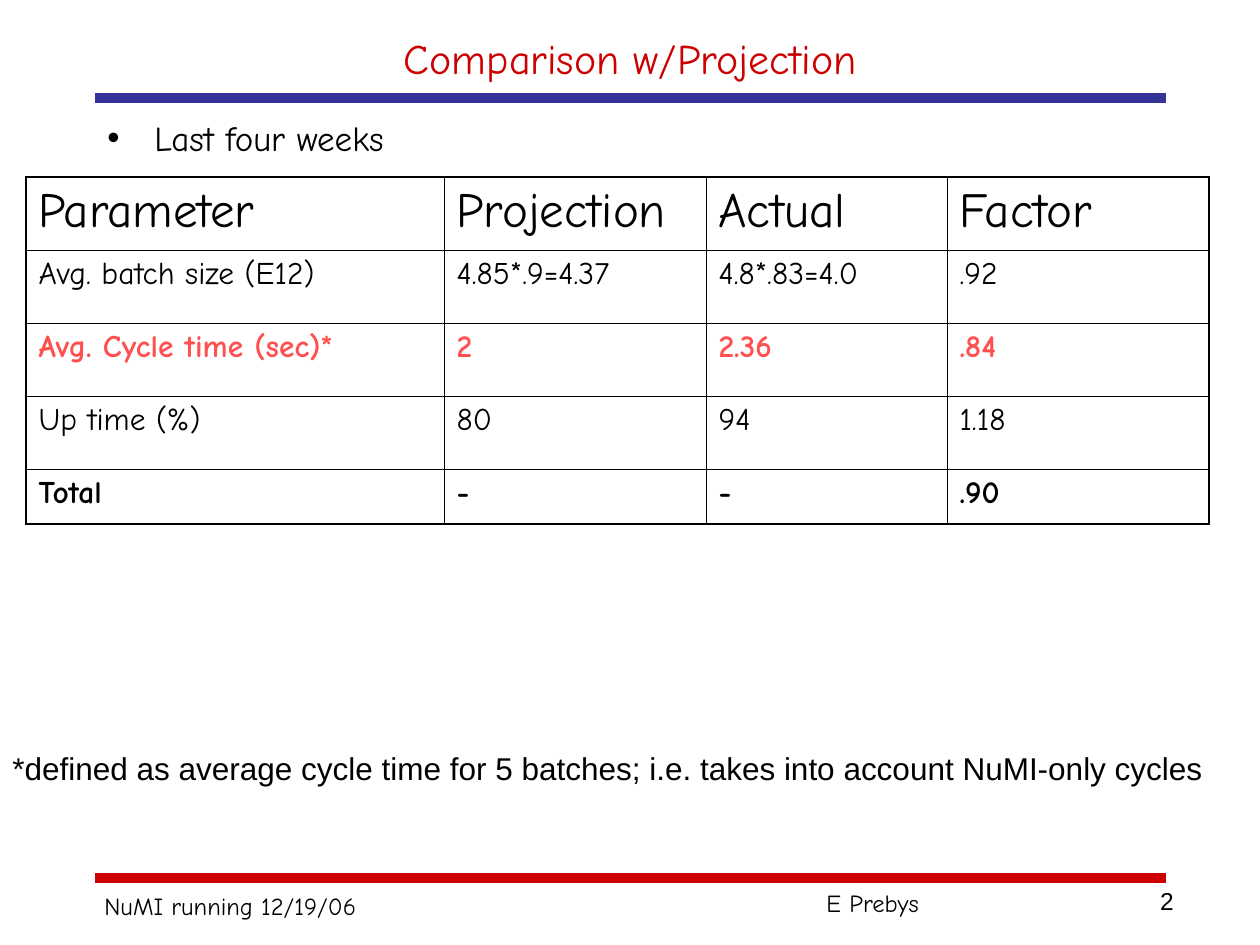
from dataclasses import dataclass

from lxml import etree
from pptx import Presentation
from pptx.dml.color import RGBColor
from pptx.enum.shapes import MSO_CONNECTOR
from pptx.enum.text import MSO_ANCHOR, PP_ALIGN
from pptx.oxml.ns import qn
from pptx.util import Pt

STRAIGHT = MSO_CONNECTOR.STRAIGHT
MIDDLE, TOP = MSO_ANCHOR.MIDDLE, MSO_ANCHOR.TOP
LEFT, CENTER, RIGHT = PP_ALIGN.LEFT, PP_ALIGN.CENTER, PP_ALIGN.RIGHT
BLANK_LAYOUT = 6
PX_PER_INCH = 126


@dataclass(frozen=True)
class Theme:
    black: str = "000000"
    red: str = "CC0000"
    blue: str = "333399"
    highlight: str = "FF5050"
    hand: str = "Comic Neue"
    sans: str = "Arial"
    header_size: int = 28
    title_size: int = 24
    bullet_size: int = 20
    body_size: int = 18
    footer_size: int = 14
    rule_width: float = 6
    outer_border: float = 1.08
    inner_border: float = 0.45


THEME = Theme()

COLUMN_WIDTHS = [418, 262, 241, 262]
ROW_HEIGHTS = [73, 73, 73, 73, 55]
COMPARISON = [
    ["Parameter", "Projection", "Actual", "Factor"],
    ["Avg. batch size (E12)", "4.85*.9=4.37", "4.8*.83=4.0", ".92"],
    ["Avg. Cycle time (sec)*", "2", "2.36", ".84"],
    ["Up time (%)", "80", "94", "1.18"],
    ["Total", "-", "-", ".90"],
]
HEADER_ROW, CYCLE_ROW, TOTAL_ROW = 0, 2, 4


def px(length):
    return round(length * 914400 / PX_PER_INCH)


def style_font(font, size, color=THEME.black, name=THEME.hand, bold=False):
    font.size = Pt(size)
    font.name = name
    font.bold = bold
    font.color.rgb = RGBColor.from_string(color)


def add_text(page, frame, text, size, color=THEME.black, name=THEME.hand,
             align=LEFT, anchor=TOP, wrap=True):
    box = page.shapes.add_textbox(*map(px, frame))
    box.text_frame.word_wrap = wrap
    box.text_frame.vertical_anchor = anchor
    box.text_frame.text = text
    para = box.text_frame.paragraphs[0]
    para.alignment = align
    style_font(para.runs[0].font, size, color, name)
    return para


def add_bullet(para, indent):
    props = para._p.get_or_add_pPr()
    props.set("marL", str(px(indent)))
    props.set("indent", str(-px(indent)))
    etree.SubElement(props, qn("a:buFont"), typeface=THEME.sans)
    etree.SubElement(props, qn("a:buChar"), char="•")


def add_rule(page, y, color):
    rule = page.shapes.add_connector(STRAIGHT, px(95), px(y), px(1166), px(y))
    rule.line.color.rgb = RGBColor.from_string(color)
    rule.line.width = Pt(THEME.rule_width)
    etree.SubElement(rule._element.spPr, qn("a:effectLst"))


def set_borders(cell, outer_sides):
    props = cell._tc.get_or_add_tcPr()
    for side in "LRTB":
        width = THEME.outer_border if side in outer_sides else THEME.inner_border
        line = etree.SubElement(props, qn(f"a:ln{side}"), w=str(Pt(width)))
        fill = etree.SubElement(line, qn("a:solidFill"))
        etree.SubElement(fill, qn("a:srgbClr"), val=THEME.black)


def add_comparison_table(page, left, top):
    last_row, last_column = len(ROW_HEIGHTS) - 1, len(COLUMN_WIDTHS) - 1
    table = page.shapes.add_table(
        len(ROW_HEIGHTS), len(COLUMN_WIDTHS), px(left), px(top),
        px(sum(COLUMN_WIDTHS)), px(sum(ROW_HEIGHTS))).table
    table.first_row = table.horz_banding = False
    for column, width in zip(table.columns, COLUMN_WIDTHS):
        column.width = px(width)
    for r, (row, values) in enumerate(zip(table.rows, COMPARISON)):
        row.height = px(ROW_HEIGHTS[r])
        size = THEME.header_size if r == HEADER_ROW else THEME.body_size
        color = THEME.highlight if r == CYCLE_ROW else THEME.black
        for c, value in enumerate(values):
            cell = table.cell(r, c)
            cell.text_frame.text = value
            style_font(cell.text_frame.paragraphs[0].runs[0].font, size, color,
                       bold=r in (CYCLE_ROW, TOTAL_ROW))
            edges = {"L": c == 0, "R": c == last_column,
                     "T": r == 0, "B": r == last_row}
            set_borders(cell, [side for side, outer in edges.items() if outer])
            cell.fill.background()


def main():
    deck = Presentation()
    deck.slide_width, deck.slide_height = px(1260), px(945)
    page = deck.slides.add_slide(deck.slide_layouts[BLANK_LAYOUT])

    # Rules and footer
    add_rule(page, 878, THEME.red)
    add_rule(page, 98, THEME.blue)
    add_text(page, (92, 885, 277, 43), "NuMI running 12/19/06",
             THEME.footer_size, wrap=False)
    add_text(page, (814, 882, 349, 43), "E Prebys", THEME.footer_size)

    # Title and bullet
    add_text(page, (95, 21, 1071, 73), "Comparison w/Projection",
             THEME.title_size, THEME.red, align=CENTER, anchor=MIDDLE)
    bullet = add_text(page, (95, 110, 525, 761), "Last four weeks",
                      THEME.bullet_size)
    add_bullet(bullet, 47)

    # Comparison table and its footnote
    add_comparison_table(page, 26, 177)
    add_text(page, (0, 743, 1232, 50),
             "*defined as average cycle time for 5 batches; "
             "i.e. takes into account NuMI-only cycles",
             THEME.body_size, name=THEME.sans)

    # Page number
    add_text(page, (892, 880, 294, 65), "2", THEME.footer_size,
             name=THEME.sans, align=RIGHT)

    deck.save("out.pptx")


if __name__ == "__main__":
    main()
